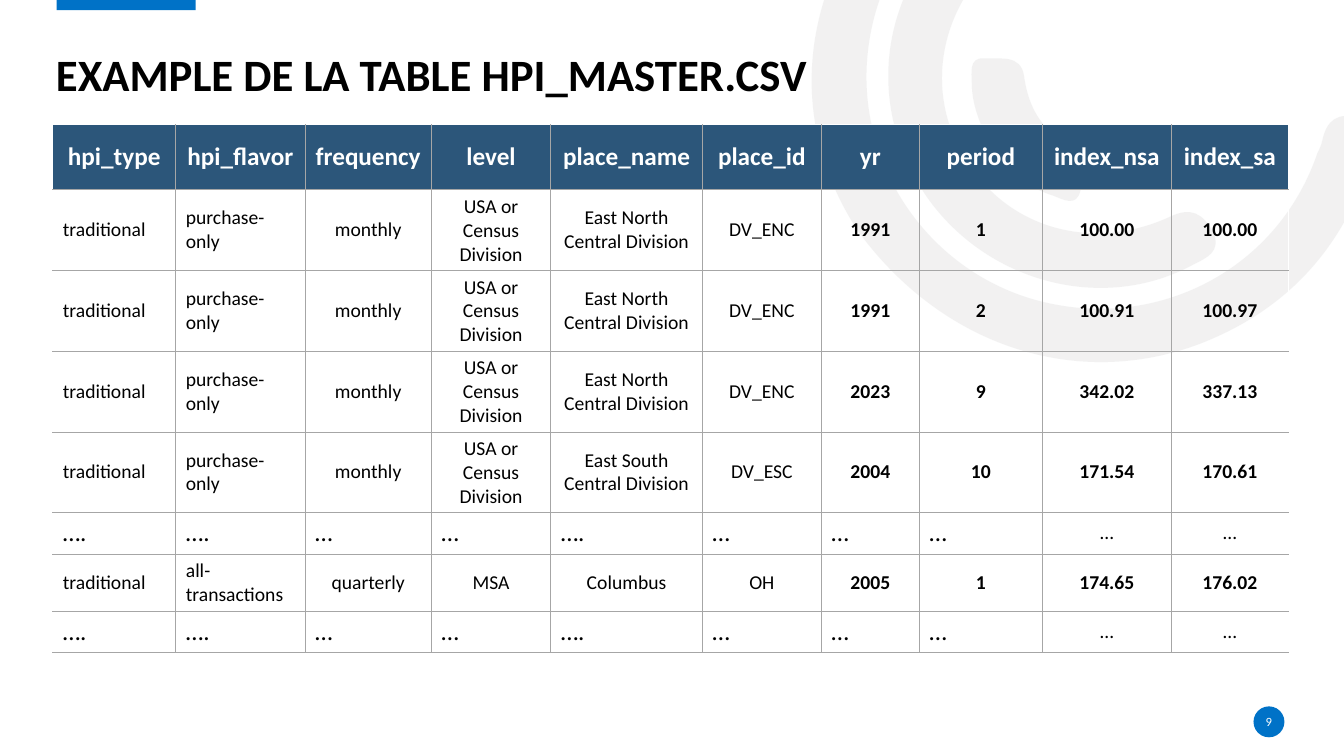
from lxml.etree import SubElement
from pptx import Presentation
from pptx.dml.color import RGBColor
from pptx.enum.shapes import MSO_SHAPE
from pptx.enum.text import MSO_ANCHOR, PP_ALIGN
from pptx.oxml import parse_xml
from pptx.oxml.ns import nsdecls, qn
from pptx.util import Cm, Pt

BLUE, NAVY, WHITE, BLACK = "0072C7", "2C567A", "FFFFFF", "000000"
ARC_GREY, RULE_GREY = "E7E6E6", "A6A6A6"

# Each arc is a start point followed by triples of Bézier points, in cm.
ARCS = [
    [(21.62, 5.82),
     (20.29, 3.78), (19.99, 1.27), (21.29, -1.27),
     (22.61, -3.86), (24.79, -5.16), (27.69, -5.26),
     (28.07, -5.26), (28.47, -5.33), (28.73, -4.95),
     (29.06, -4.45), (28.63, -3.91), (27.89, -3.91),
     (24.56, -3.91), (21.97, -1.5), (21.84, 1.73),
     (21.74, 4.6), (23.77, 7.14), (26.57, 7.67),
     (29.46, 8.23), (32.26, 6.63), (33.2, 3.86),
     (33.25, 3.76), (33.3, 3.66), (33.32, 3.56),
     (33.43, 3.02), (33.71, 2.82), (34.26, 2.97),
     (34.87, 3.15), (34.72, 3.58), (34.57, 3.96),
     (33.88, 6.22), (32.46, 7.8), (30.25, 8.66),
     (27.18, 9.83), (23.77, 8.76), (21.62, 5.82)],
    [(23.42, 5.05),
     (21.89, 2.92), (22.07, 0.18), (23.88, -1.73),
     (24.16, -2.01), (24.43, -2.41), (24.89, -1.98),
     (25.27, -1.63), (25.32, -1.27), (24.87, -0.81),
     (23.5, 0.66), (23.37, 2.74), (24.51, 4.27),
     (25.6, 5.82), (27.64, 6.32), (29.49, 5.46),
     (30.02, 5.21), (30.3, 5.38), (30.56, 5.82),
     (30.81, 6.35), (30.4, 6.5), (30.05, 6.68),
     (27.84, 7.87), (24.97, 7.16), (23.42, 5.05)],
    [(25.07, 3.84),
     (24.77, 3.3), (24.49, 2.72), (24.49, 2.08),
     (24.49, 1.85), (24.41, 1.45), (24.79, 1.47),
     (25.2, 1.5), (25.73, 1.35), (25.81, 1.93),
     (25.93, 2.79), (26.31, 3.35), (27.1, 3.76),
     (27.64, 3.99), (27.33, 4.47), (27.23, 4.8),
     (27.13, 5.23), (26.8, 5.03), (26.54, 4.93),
     (25.93, 4.75), (25.48, 4.32), (25.07, 3.84)],
]

COLUMN_WIDTHS = [3.1, 3.26, 3.18, 3.01, 3.82, 3, 2.47, 3.1, 3.25, 2.95]
HEADER = ["hpi_type", "hpi_flavor", "frequency", "level", "place_name",
          "place_id", "yr", "period", "index_nsa", "index_sa"]
MONTHLY = ["traditional", "purchase-only", "monthly", "USA or Census Division"]
EAST_NORTH = MONTHLY + ["East North Central Division", "DV_ENC"]
GAP = ["….", "….", "…", "…", "….", "…", "…", "…", "…", "…"]
ROWS = [
    EAST_NORTH + ["1991", "1", "100.00", "100.00"],
    EAST_NORTH + ["1991", "2", "100.91", "100.97"],
    EAST_NORTH + ["2023", "9", "342.02", "337.13"],
    MONTHLY + ["East South Central Division", "DV_ESC", "2004", "10", "171.54", "170.61"],
    GAP,
    ["traditional", "all-transactions", "quarterly", "MSA", "Columbus", "OH",
     "2005", "1", "174.65", "176.02"],
    GAP,
]


def rgb(value):
    return RGBColor.from_string(value)


def write(tf, text, size=14, color=BLACK, bold=False, align=PP_ALIGN.LEFT, spacing=None):
    p = tf.paragraphs[0]
    p.alignment = align
    p.line_spacing = spacing
    r = p.add_run()
    r.text = text
    r.font.name = "Calibri"
    r.font.size = Pt(size)
    r.font.bold = bold
    r.font.color.rgb = rgb(color)


def clear_margins(tf, anchor):
    tf.margin_left = tf.margin_right = tf.margin_top = tf.margin_bottom = 0
    tf.vertical_anchor = anchor
    tf.word_wrap = True


def bend_segments(sp):
    """Turn every three straight segments of a freeform into one Bézier curve."""
    lines = list(sp._element.iter(qn("a:lnTo")))
    for i in range(0, len(lines), 3):
        first, *others = lines[i:i + 3]
        first.tag = qn("a:cubicBezTo")
        for line in others:
            first.append(line[0])
            line.getparent().remove(line)


def set_borders(cell, **sides):
    """Give the cell a (colour, points) line on each of L, R, T and B."""
    tcPr = cell._tc.get_or_add_tcPr()
    for i, side in enumerate("LRTB"):
        color, width = sides[side]
        tcPr.insert(i, parse_xml(
            f'<a:ln{side} {nsdecls("a")} w="{Pt(width)}"><a:solidFill>'
            f'<a:srgbClr val="{color}"/></a:solidFill></a:ln{side}>'))


class SlideBuilder:
    def __init__(self, prs):
        self.slide = prs.slides.add_slide(prs.slide_layouts[5])
        self.shapes = self.slide.shapes

    def paint(self, sp, color):
        sp.shadow.inherit = False
        sp.fill.solid()
        sp.fill.fore_color.rgb = rgb(color)
        sp.line.fill.background()

    def shape(self, kind, x, y, w, h, color):
        sp = self.shapes.add_shape(kind, Cm(x), Cm(y), Cm(w), Cm(h))
        self.paint(sp, color)

    def arc(self, points):
        start, *others = [(Cm(x), Cm(y)) for x, y in points]
        builder = self.shapes.build_freeform(*start)
        builder.add_line_segments(others)
        sp = builder.convert_to_shape()
        bend_segments(sp)
        self.paint(sp, ARC_GREY)
        color = sp._element.spPr.find(qn("a:solidFill"))[0]
        SubElement(color, qn("a:alpha")).set("val", "53000")

    def text(self, text, x, y, w, h, **style):
        tf = self.shapes.add_textbox(Cm(x), Cm(y), Cm(w), Cm(h)).text_frame
        clear_margins(tf, MSO_ANCHOR.MIDDLE)
        write(tf, text, **style)

    def title(self, text, x, y, w, h):
        sp = self.shapes.title
        sp.left, sp.top, sp.width, sp.height = Cm(x), Cm(y), Cm(w), Cm(h)
        clear_margins(sp.text_frame, MSO_ANCHOR.BOTTOM)
        write(sp.text_frame, text, size=32, bold=True, spacing=0.9)
        sp._element.getparent().append(sp._element)  # in front of the arcs

    def table(self, x, y, widths, header, rows, header_height, row_height):
        height = header_height + row_height * len(rows)
        table = self.shapes.add_table(len(rows) + 1, len(widths), Cm(x), Cm(y),
                                      Cm(sum(widths)), Cm(height)).table
        table.first_row = table.horz_banding = False
        for column, width in zip(table.columns, widths):
            column.width = Cm(width)
        for i, texts in enumerate([header] + rows):
            table.rows[i].height = Cm(row_height if i else header_height)
            for j, text in enumerate(texts):
                self.cell(table.cell(i, j), text, i == 0, j, j == len(widths) - 1)

    def cell(self, cell, text, is_header, column, is_last):
        cell.vertical_anchor = MSO_ANCHOR.MIDDLE
        is_gap = text.startswith("…")
        if is_header:
            cell.fill.solid()
            cell.fill.fore_color.rgb = rgb(NAVY)
            write(cell.text_frame, text, 18, WHITE, True, PP_ALIGN.CENTER)
        else:
            cell.fill.background()
            left = column < (8 if is_gap else 2)
            write(cell.text_frame, text, size=18 if is_gap and left else 14,
                  bold=column >= 6 and not is_gap,
                  align=PP_ALIGN.LEFT if left else PP_ALIGN.CENTER)
        inner, outer = (RULE_GREY, 0.5), (WHITE, 1)
        set_borders(cell, L=inner if column else outer, R=outer if is_last else inner,
                    T=outer if is_header else inner, B=inner)


def main():
    prs = Presentation()
    prs.slide_width, prs.slide_height = Cm(33.87), Cm(19.05)
    s = SlideBuilder(prs)
    for points in ARCS:
        s.arc(points)
    s.shape(MSO_SHAPE.RECTANGLE, 1.43, -0.04, 3.5, 0.3, BLUE)
    s.shape(MSO_SHAPE.OVAL, 31.59, 17.8, 0.78, 0.78, BLUE)
    s.title("EXAMPLE DE LA TABLE HPI_MASTER.CSV", 1.41, 0, 30.96, 2.55)
    s.text("9", 31.57, 17.93, 0.81, 0.51, size=9, color=WHITE, align=PP_ALIGN.CENTER)
    s.shape(MSO_SHAPE.RECTANGLE, 0.33, 16.97, 6.2, 1.93, WHITE)
    s.table(1.33, 3.14, COLUMN_WIDTHS, HEADER, ROWS, 1.64, 1.04)
    prs.save("out.pptx")


if __name__ == "__main__":
    main()
